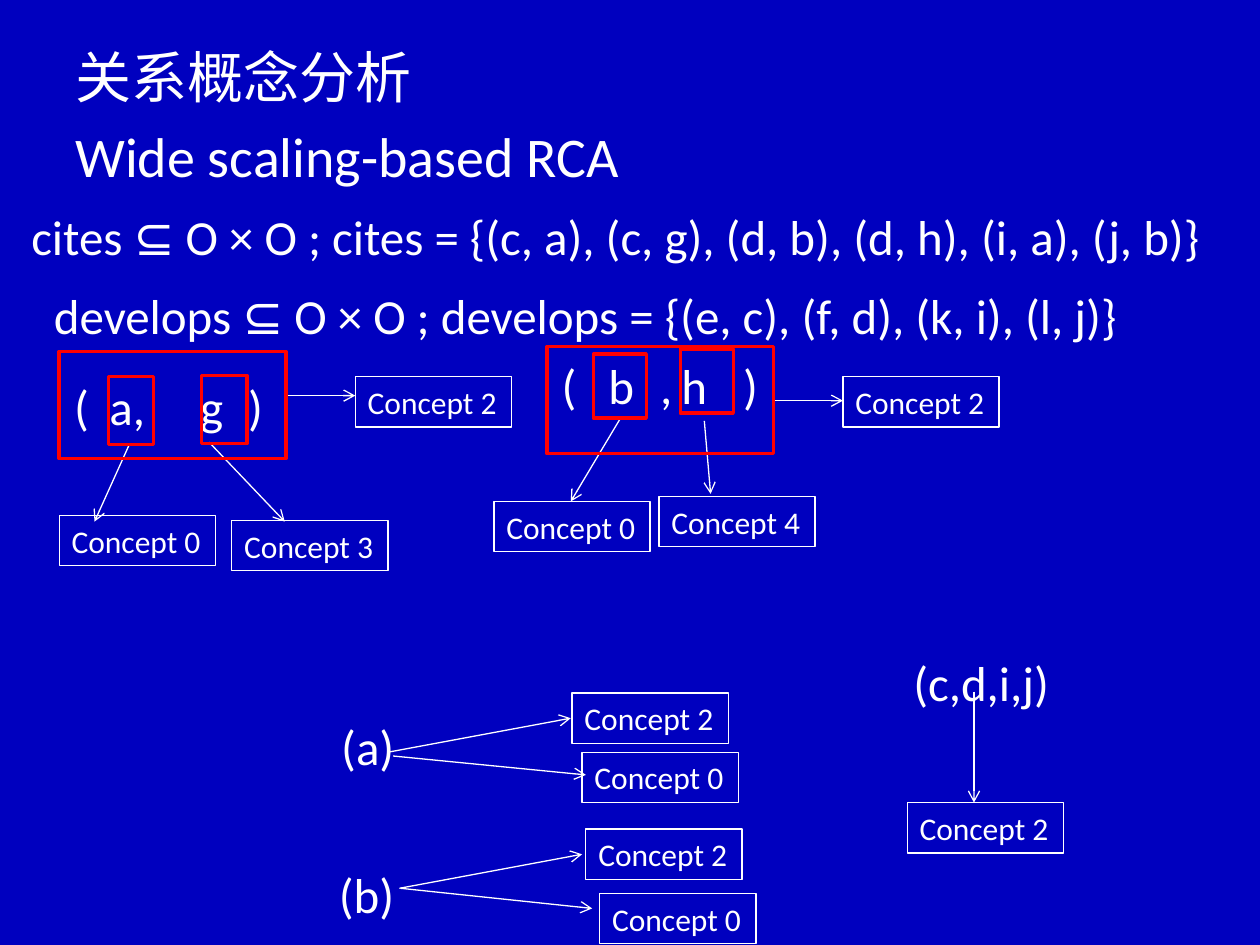
from typing import NamedTuple

from lxml import etree
from pptx import Presentation
from pptx import util as u
from pptx.dml.color import RGBColor
from pptx.enum import shapes, text
from pptx.oxml import ns

BLUE = RGBColor(0x00, 0x00, 0xBF)
WHITE = RGBColor(0xFF, 0xFF, 0xFF)
RED = RGBColor(0xFF, 0x00, 0x00)
COLS, ROWS = 1000, 750
FORMAT = {"name": "Calibri", "size": u.Pt(28)}


class Label(NamedTuple):
    lines: tuple[str, ...]
    col: int
    row: int
    cols: int
    rows: int = 57
    size: int = 28
    wrap: bool = True
    tabs: tuple[int, ...] = ()
    before: float = 0


class Concept(NamedTuple):
    number: int
    col: int
    row: int


class Frame(NamedTuple):
    col: int
    row: int
    cols: int
    rows: int


class Arrow(NamedTuple):
    col: int
    row: int
    to_col: int
    to_row: int


LABELS = (
    Label(("关系概念分析", "Wide scaling-based RCA"), 50, 29, 900, 641, 32, before=6.4),
    Label(("cites ⊆ O × O ; cites = {(c, a), (c, g), (d, b), (d, h), (i, a), (j, b)}",),
          15, 159, 988),
    Label(("develops ⊆ O × O ; develops = {(e, c), (f, d), (k, i), (l, j)}",), 33, 222, 945),
    Label(("(\ta,\tg\t)",), 49, 294, 178, tabs=(28, 100, 138)),
    Label(("(\tb\t,\th\t)",), 436, 277, 191, tabs=(37, 78, 95, 144)),
    Label(("(a)",), 261, 564, 63, wrap=False),
    Label(("(b)",), 259, 681, 65, wrap=False),
    Label(("(c,d,i,j)",), 715, 513, 129, wrap=False),
)
CONCEPTS = (
    Concept(0, 47, 409), Concept(3, 184, 413), Concept(2, 282, 299),
    Concept(0, 392, 398), Concept(4, 523, 394), Concept(2, 669, 299),
    Concept(2, 454, 550), Concept(0, 462, 597),
    Concept(2, 465, 658), Concept(0, 476, 709),
    Concept(2, 720, 637),
)
FRAMES = (
    Frame(47, 279, 180, 85), Frame(86, 299, 36, 54), Frame(160, 298, 36, 54),
    Frame(434, 275, 180, 85), Frame(471, 281, 42, 51), Frame(540, 277, 42, 51),
)
ARROWS = (
    Arrow(103, 352, 75, 414), Arrow(166, 351, 226, 414), Arrow(226, 314, 282, 314),
    Arrow(493, 331, 453, 398), Arrow(559, 334, 564, 392), Arrow(613, 318, 669, 318),
    Arrow(308, 597, 453, 570), Arrow(312, 600, 465, 615),
    Arrow(317, 705, 462, 678), Arrow(318, 705, 470, 721),
    Arrow(773, 549, 773, 637),
)

prs = Presentation()
prs.slide_width, prs.slide_height = u.Inches(10), u.Inches(7.5)
s = prs.slides.add_slide(prs.slide_layouts[6])
s.background.fill.solid()
s.background.fill.fore_color.rgb = BLUE


def x(col: int) -> int:
    return prs.slide_width * col // COLS


def y(row: int) -> int:
    return prs.slide_height * row // ROWS


def write(sp, lines: tuple[str, ...], size: int, wrap: bool, before: float = 0) -> None:
    tf = sp.text_frame
    tf.word_wrap = wrap
    tf.vertical_anchor = text.MSO_ANCHOR.TOP
    for i, line in enumerate(lines):
        p = tf.add_paragraph() if i else tf.paragraphs[0]
        p.alignment = text.PP_ALIGN.LEFT
        p.space_before = u.Pt(before)
        r = p.add_run()
        r.text = line
        for key, value in {**FORMAT, "size": u.Pt(size)}.items():
            setattr(r.font, key, value)
        r.font.color.rgb = WHITE


def add_label(label: Label) -> None:
    sp = s.shapes.add_textbox(x(label.col), y(label.row), x(label.cols), y(label.rows))
    write(sp, label.lines, label.size, label.wrap, label.before)
    if label.tabs:
        pPr = sp.text_frame.paragraphs[0]._p.get_or_add_pPr()
        stops = etree.SubElement(pPr, ns.qn("a:tabLst"))
        for stop in label.tabs:
            etree.SubElement(stops, ns.qn("a:tab"), pos=str(x(stop)), algn="l")


def add_box(box: Frame, color: RGBColor, width: float):
    sp = s.shapes.add_shape(shapes.MSO_SHAPE.RECTANGLE,
                            x(box.col), y(box.row), x(box.cols), y(box.rows))
    sp.shadow.inherit = False
    sp.fill.background()
    sp.line.color.rgb = color
    sp.line.width = u.Pt(width)
    return sp


def add_concept(concept: Concept) -> None:
    sp = add_box(Frame(concept.col, concept.row, 124, 40), WHITE, 0.75)
    write(sp, (f"Concept {concept.number}",), 18, False)


def add_arrow(arrow: Arrow) -> None:
    c = s.shapes.add_connector(shapes.MSO_CONNECTOR.STRAIGHT, x(arrow.col), y(arrow.row),
                               x(arrow.to_col), y(arrow.to_row))
    c.line.color.rgb = WHITE
    c.line.width = u.Pt(0.75)
    etree.SubElement(c.line._get_or_add_ln(), ns.qn("a:tailEnd"), type="arrow")
    etree.SubElement(c._element.spPr, ns.qn("a:effectLst"))


for label in LABELS:
    add_label(label)
for arrow in ARROWS:
    add_arrow(arrow)
for concept in CONCEPTS:
    add_concept(concept)
for frame in FRAMES:
    add_box(frame, RED, 2)

prs.save("out.pptx")
